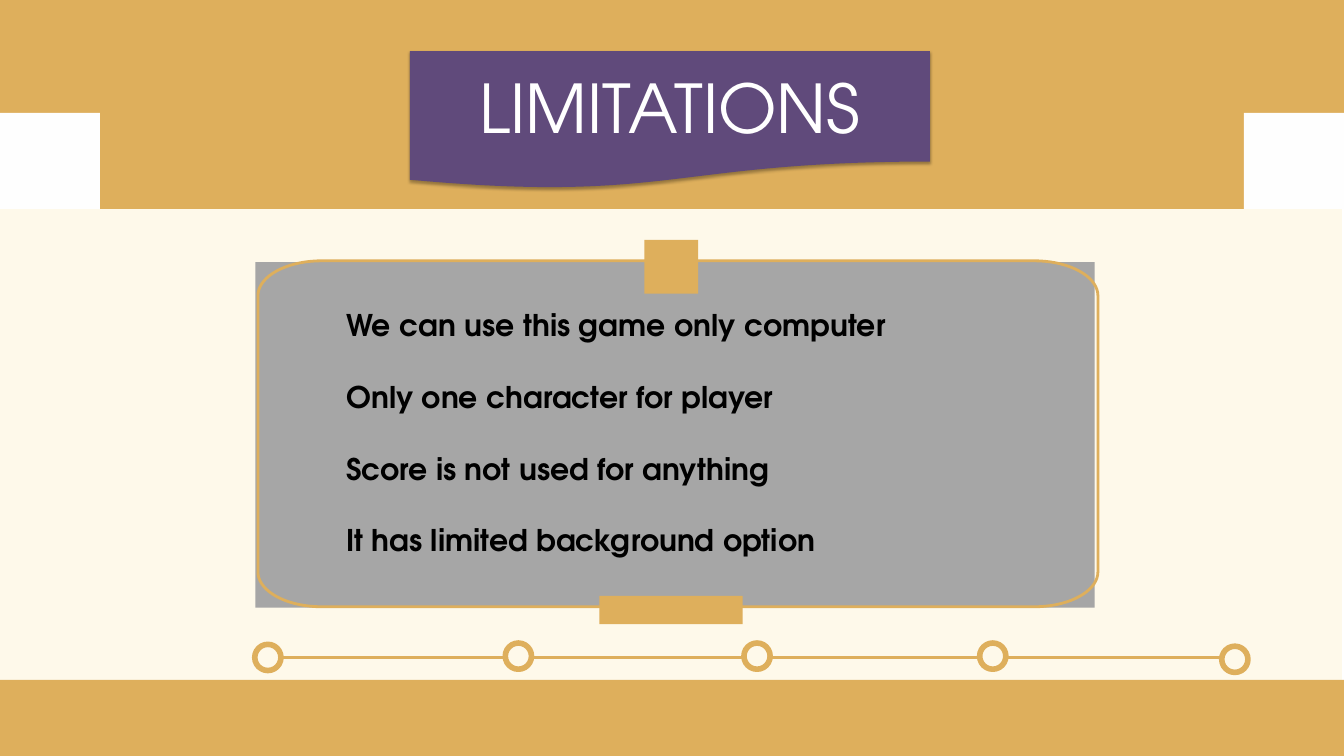
import math
import pptx
import pptx.util
import pptx.dml.color
import pptx.enum.shapes
import pptx.enum.text
import pptx.oxml
import pptx.oxml.ns

Cm = pptx.util.Cm
Pt = pptx.util.Pt
Kind = pptx.enum.shapes.MSO_SHAPE
Align = pptx.enum.text.PP_ALIGN
Anchor = pptx.enum.text.MSO_ANCHOR

GOLD, CREAM, WHITE = "DEAF5C", "FEF9EA", "FEFEFE"
GREY, PLUM = "A6A6A6", "604A7B"


def paint(shape, fill=None, line=None, width=0):
    shape.shadow.inherit = False
    if fill:
        shape.fill.solid()
        shape.fill.fore_color.rgb = pptx.dml.color.RGBColor.from_string(fill)
    else:
        shape.fill.background()
    if line:
        shape.line.color.rgb = pptx.dml.color.RGBColor.from_string(line)
        shape.line.width = Pt(width)
    else:
        shape.line.fill.background()


def write(shape, text, size, color, bold=False, align=Align.LEFT,
          anchor=Anchor.TOP, gap=0):
    frame = shape.text_frame
    frame.word_wrap = True
    frame.vertical_anchor = anchor
    frame.text = text
    for i, para in enumerate(frame.paragraphs):
        para.alignment = align
        para.space_before = Pt(gap if i else 0)
        para.font.name = "TeX Gyre Adventor"
        para.font.size = Pt(size)
        para.font.bold = bold
        para.font.color.rgb = pptx.dml.color.RGBColor.from_string(color)


deck = pptx.Presentation()
deck.slide_width, deck.slide_height = Cm(50.8), Cm(28.58)
slide = deck.slides.add_slide(deck.slide_layouts[5])
shapes = slide.shapes

# Background bands, corner blocks and grey panel
for x, y, w, h, color in [
    (0, 1.75, 50.72, 26.83, CREAM),
    (0, 0, 50.8, 7.9, GOLD),
    (0, 4.27, 3.78, 3.63, WHITE),
    (47.02, 4.27, 3.78, 3.63, WHITE),
    (0, 25.7, 50.8, 2.88, GOLD),
    (9.65, 9.91, 31.73, 13.06, GREY),
]:
    block = shapes.add_shape(Kind.RECTANGLE, Cm(x), Cm(y), Cm(w), Cm(h))
    paint(block, color)

# Frame with elliptical corners
left, top, right, base = 9.75, 9.86, 41.5, 22.94
rx, ry = 2.41, 1.32
centres = [(right - rx, base - ry), (left + rx, base - ry),
           (left + rx, top + ry), (right - rx, top + ry)]
points = []
for turn, (cx, cy) in enumerate(centres):
    for step in range(0, 91, 5):
        angle = math.radians(90 * turn + step)
        points.append((Cm(cx + rx * math.cos(angle)),
                       Cm(cy + ry * math.sin(angle))))
pen = shapes.build_freeform(*points[0])
pen.add_line_segments(points[1:], close=True)
paint(pen.convert_to_shape(), line=GOLD, width=3)

# Gold tabs on the frame
for x, y, w, h in [(24.36, 9.07, 2.03, 2.03), (22.66, 22.53, 5.41, 1.07)]:
    tab = shapes.add_shape(Kind.RECTANGLE, Cm(x), Cm(y), Cm(w), Cm(h))
    paint(tab, GOLD)

# Timeline with ring markers
rail = shapes.add_connector(pptx.enum.shapes.MSO_CONNECTOR.STRAIGHT,
                            Cm(10.16), Cm(24.87), Cm(46.76), Cm(24.87))
rail.line.color.rgb = pptx.dml.color.RGBColor.from_string(GOLD)
rail.line.width = Pt(3)
rail.element.spPr.append(pptx.oxml.parse_xml(
    f"<a:effectLst {pptx.oxml.ns.nsdecls('a')}/>"))
for x, y in [(9.63, 24.36), (19.1, 24.31), (28.12, 24.31),
             (37.03, 24.31), (46.18, 24.43)]:
    ring = shapes.add_shape(Kind.OVAL, Cm(x), Cm(y), Cm(0.99), Cm(0.99))
    paint(ring, CREAM, GOLD, 6)

# Banner with a soft shadow
banner = shapes.add_shape(Kind.FLOWCHART_DOCUMENT,
                          Cm(15.49), Cm(1.93), Cm(19.66), Cm(5.21))
paint(banner, PLUM)
effects = banner.element.spPr.find(pptx.oxml.ns.qn("a:effectLst"))
effects.append(pptx.oxml.parse_xml(
    f"<a:outerShdw {pptx.oxml.ns.nsdecls('a')} blurRad='{Pt(3.5)}' "
    f"dist='{Pt(2.2)}' dir='5400000' rotWithShape='0'>"
    "<a:srgbClr val='000000'><a:alpha val='32000'/></a:srgbClr>"
    "</a:outerShdw>"))

# Title, raised above the banner
title = shapes.title
title.left, title.top = Cm(15.49), Cm(1.93)
title.width, title.height = Cm(19.66), Cm(4.18)
write(title, "LIMITATIONS", size=72, color="FFFFFF",
      align=Align.CENTER, anchor=Anchor.MIDDLE)
title.element.getparent().append(title.element)

# List of limitations
body = shapes.add_textbox(Cm(12.83), Cm(11.48), Cm(28.8), Cm(9.83))
write(body, "\n".join([
    "We can use this game only computer",
    "Only one character for player",
    "Score is not used for anything",
    "It has limited background option",
]), size=32, color="000000", bold=True, gap=38.4)

deck.save("out.pptx")
